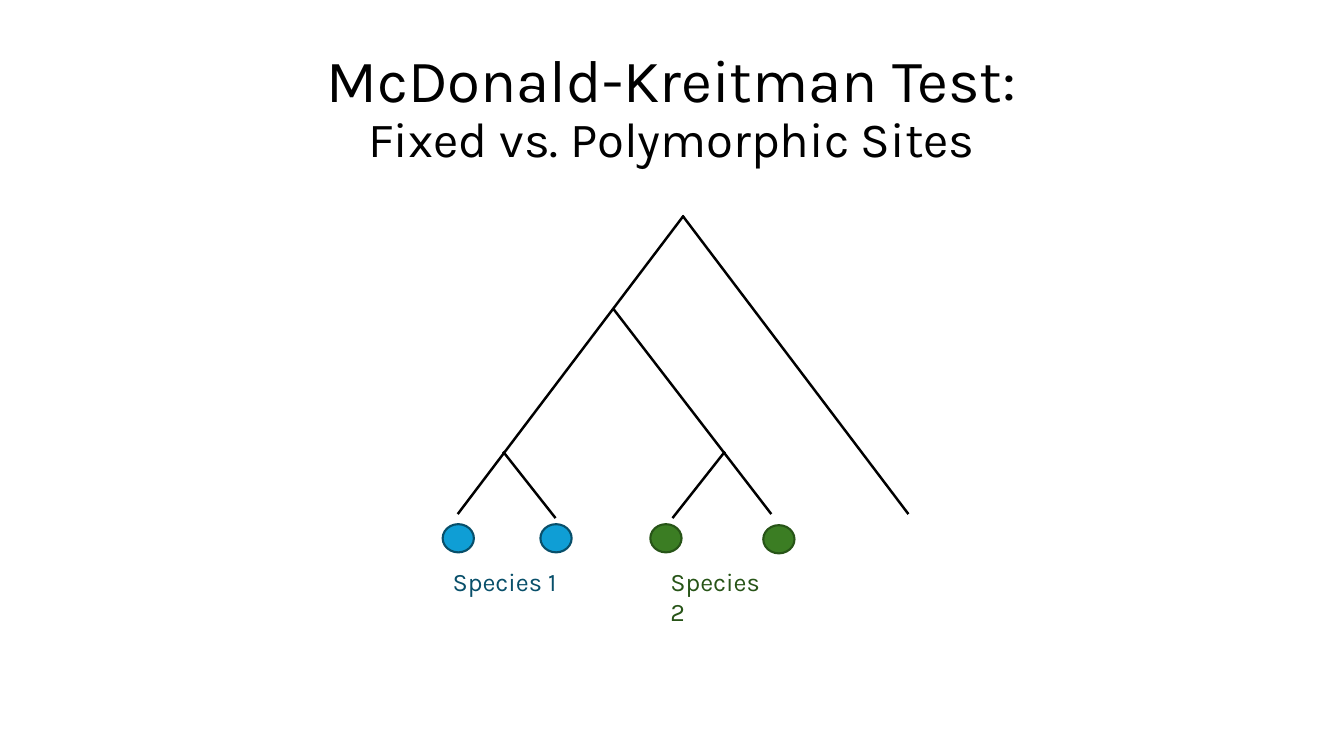
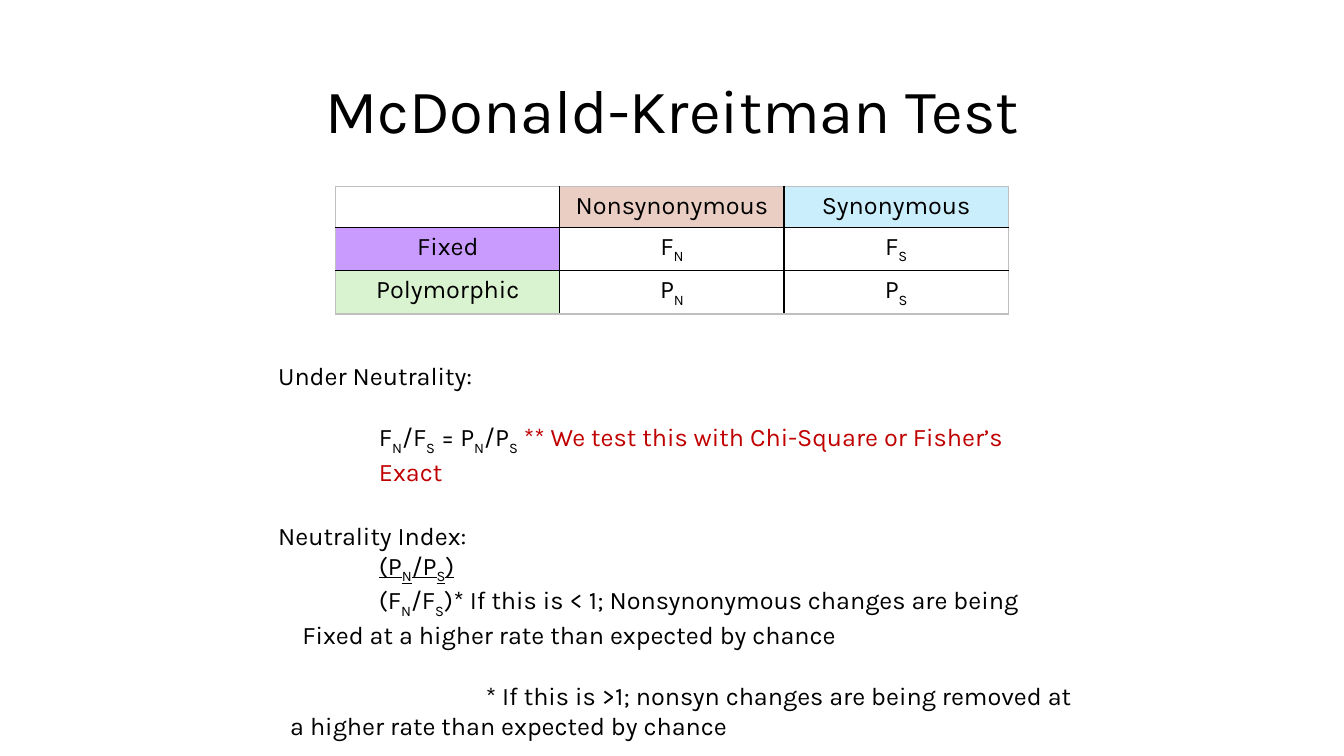
"""Build two slides that explain the McDonald-Kreitman test."""
from lxml import etree
from pptx import Presentation
from pptx.dml.color import RGBColor
from pptx.enum.shapes import MSO_CONNECTOR, MSO_SHAPE
from pptx.enum.text import MSO_ANCHOR, MSO_AUTO_SIZE, PP_ALIGN
from pptx.oxml.ns import qn
from pptx.util import Inches, Pt

STRAIGHT = MSO_CONNECTOR.STRAIGHT
OVAL = MSO_SHAPE.OVAL
MIDDLE = MSO_ANCHOR.MIDDLE
NO_AUTOFIT = MSO_AUTO_SIZE.NONE
CENTER = PP_ALIGN.CENTER
LEFT = PP_ALIGN.LEFT

FONT = "Karla"
BODY_SIZE = 18
TITLE_ONLY = 5

BLACK = RGBColor(0x00, 0x00, 0x00)
WHITE = RGBColor(0xFF, 0xFF, 0xFF)
RED = RGBColor(0xC0, 0x00, 0x00)
GRAY = RGBColor(0xBF, 0xBF, 0xBF)
BLUE = RGBColor(0x0F, 0x9E, 0xD5)
DARK_BLUE = RGBColor(0x08, 0x4F, 0x6A)
GREEN = RGBColor(0x3B, 0x7D, 0x23)
DARK_GREEN = RGBColor(0x27, 0x54, 0x17)
PALE_ROSE = RGBColor(0xEA, 0xCE, 0xC4)
PALE_BLUE = RGBColor(0xCA, 0xEE, 0xFB)
PALE_PURPLE = RGBColor(0xCA, 0x9B, 0xFF)
PALE_GREEN = RGBColor(0xD9, 0xF2, 0xD0)

BRANCHES = [
    ((6.78, 2.14), (4.54, 5.1)),
    ((6.77, 2.14), (9.01, 5.1)),
    ((6.08, 3.06), (7.65, 5.1)),
    ((4.99, 4.48), (5.51, 5.14)),
    ((7.19, 4.48), (6.67, 5.14)),
]
SPECIES = [
    ("Species 1", 4.39, BLUE, DARK_BLUE, [(4.39, 5.2), (5.36, 5.2)]),
    ("Species 2", 6.55, GREEN, DARK_GREEN, [(6.45, 5.2), (7.57, 5.21)]),
]
SITE_COUNTS = [
    [("", WHITE), ("Nonsynonymous", PALE_ROSE), ("Synonymous", PALE_BLUE)],
    [("Fixed", PALE_PURPLE), ("F_N", WHITE), ("F_S", WHITE)],
    [("Polymorphic", PALE_GREEN), ("P_N", WHITE), ("P_S", WHITE)],
]


def style_font(font, size=BODY_SIZE, color=BLACK):
    """Apply the deck typeface with a size and colour."""
    font.name = FONT
    font.size = Pt(size)
    font.color.rgb = color


def add_formula(paragraph, text, color=None, underline=None):
    """Add runs, lowering each letter that follows an underscore."""
    first, *rest = text.split("_")
    pieces = [(first, False)]
    for part in rest:
        pieces += [(part[0], True), (part[1:], False)]
    for piece, lowered in pieces:
        if not piece:
            continue
        run = paragraph.add_run()
        run.text = piece
        if color is not None:
            run.font.color.rgb = color
        if underline:
            run.font.underline = True
        if lowered:
            run._r.get_or_add_rPr().set("baseline", "-25000")


def set_indent(paragraph, margin, first_line=0, tab=None):
    """Set the left margin, first-line indent and an optional tab stop."""
    properties = paragraph._p.get_or_add_pPr()
    properties.set("marL", str(Inches(margin)))
    properties.set("indent", str(Inches(first_line)))
    if tab is not None:
        tabs = etree.SubElement(properties, qn("a:tabLst"))
        etree.SubElement(tabs, qn("a:tab"), pos=str(Inches(tab)), algn="l")


def add_titled_slide(prs, box, lines):
    """Add a slide whose centred title has one (text, size) pair per line."""
    slide = prs.slides.add_slide(prs.slide_layouts[TITLE_ONLY])
    title = slide.shapes.title
    title.left, title.top, title.width, title.height = map(Inches, box)
    frame = title.text_frame
    frame.word_wrap = True
    frame.auto_size = NO_AUTOFIT
    frame.vertical_anchor = MIDDLE
    heading = frame.paragraphs[0]
    heading.alignment = CENTER
    heading.line_spacing = 0.9
    for index, (text, size) in enumerate(lines):
        if index:
            heading.add_line_break()
        run = heading.add_run()
        run.text = text
        style_font(run.font, size)
    return slide


def add_text_frame(slide, left, top, width, height):
    """Add a wrapping text box and return its frame."""
    box = slide.shapes.add_textbox(*map(Inches, (left, top, width, height)))
    box.text_frame.word_wrap = True
    return box.text_frame


def add_branch(slide, start, end):
    """Draw one branch of the tree."""
    branch = slide.shapes.add_connector(STRAIGHT, *map(Inches, start + end))
    branch.line.color.rgb = BLACK
    branch.line.width = Pt(1.75)
    etree.SubElement(branch._element.spPr, qn("a:effectLst"))


def add_sample(slide, left, top, fill, outline):
    """Draw one sampled individual at a branch tip."""
    sample = slide.shapes.add_shape(OVAL, *map(Inches, (left, top, 0.31, 0.28)))
    sample.shadow.inherit = False
    sample.fill.solid()
    sample.fill.fore_color.rgb = fill
    sample.line.color.rgb = outline
    sample.line.width = Pt(1.5)


def set_border(cell, side, color):
    """Draw one border of a table cell."""
    properties = cell._tc.get_or_add_tcPr()
    border = etree.SubElement(properties, qn(f"a:ln{side}"), w=str(Pt(1)))
    fill = etree.SubElement(border, qn("a:solidFill"))
    etree.SubElement(fill, qn("a:srgbClr"), val=str(color))


def add_count_table(slide, rows):
    """Add the table of fixed and polymorphic site counts."""
    row_total, column_total = len(rows), len(rows[0])
    table = slide.shapes.add_table(
        row_total, column_total, *map(Inches, (3.33, 1.85, 6.67, 1.22))).table
    table.first_row = table.horz_banding = False
    for row, entries in enumerate(rows):
        for column, (text, fill) in enumerate(entries):
            cell = table.cell(row, column)
            outer_sides = {
                "L": column == 0, "R": column == column_total - 1,
                "T": row == 0, "B": row == row_total - 1}
            for side, is_outer in outer_sides.items():
                set_border(cell, side, GRAY if is_outer else BLACK)
            cell.fill.solid()
            cell.fill.fore_color.rgb = fill
            label = cell.text_frame.paragraphs[0]
            label.alignment = CENTER
            style_font(label.font)
            add_formula(label, text)


def add_explanation(slide):
    """Write the neutral expectation and the neutrality index."""
    frame = add_text_frame(slide, 2.66, 3.53, 8.32, 3.64)

    def add_line(margin=0, first_line=0, tab=None, gap=0):
        """Start the next paragraph of the explanation."""
        is_first = not frame.paragraphs[0].runs
        line = frame.paragraphs[0] if is_first else frame.add_paragraph()
        set_indent(line, margin, first_line, tab)
        line.alignment = LEFT
        line.space_before = Pt(gap)
        style_font(line.font)
        return line

    add_formula(add_line(), "Under Neutrality:")

    expectation = add_line(margin=1, gap=22)
    add_formula(expectation, "F_N/F_S = P_N/P_S ")
    add_formula(expectation,
                "** We test this with Chi-Square or Fisher’s", RED)
    expectation.add_line_break()
    add_formula(expectation, "Exact", RED)

    add_formula(add_line(gap=24), "Neutrality Index:")
    add_formula(add_line(margin=1), "(P_N/P_S)", underline=True)

    below_one = add_line(margin=0.24, first_line=0.76, tab=1.84)
    add_formula(below_one, "(F_N/F_S)\t* If this is < 1; "
                "Nonsynonymous changes are being")
    below_one.add_line_break()
    add_formula(below_one, "Fixed at a higher rate than expected by chance")

    above_one = add_line(margin=0.12, first_line=1.94, gap=22)
    add_formula(above_one,
                "* If this is >1; nonsyn changes are being removed at")
    above_one.add_line_break()
    add_formula(above_one, "a higher rate than expected by chance")


def build_tree_slide(prs):
    """Show the species tree with its sampled individuals."""
    slide = add_titled_slide(
        prs, (2.35, 0.4, 8.62, 1.37),
        [("McDonald-Kreitman Test:", 42.9),
         ("Fixed vs. Polymorphic Sites", 35.1)])
    for start, end in BRANCHES:
        add_branch(slide, start, end)
    for name, label_left, fill, outline, samples in SPECIES:
        for left, top in samples:
            add_sample(slide, left, top, fill, outline)
        label = add_text_frame(slide, label_left, 5.57, 1.28, 0.4).paragraphs[0]
        label.text = name
        style_font(label.font, color=outline)


def build_test_slide(prs):
    """Show the count table and how to read the test."""
    slide = add_titled_slide(
        prs, (0.92, 0.4, 11.5, 1.45), [("McDonald-Kreitman Test", 44)])
    add_count_table(slide, SITE_COUNTS)
    add_explanation(slide)


def main():
    """Build and save the deck."""
    prs = Presentation()
    prs.slide_width = Inches(13.33)
    prs.slide_height = Inches(7.5)
    build_tree_slide(prs)
    build_test_slide(prs)
    prs.save("out.pptx")


if __name__ == "__main__":
    main()
